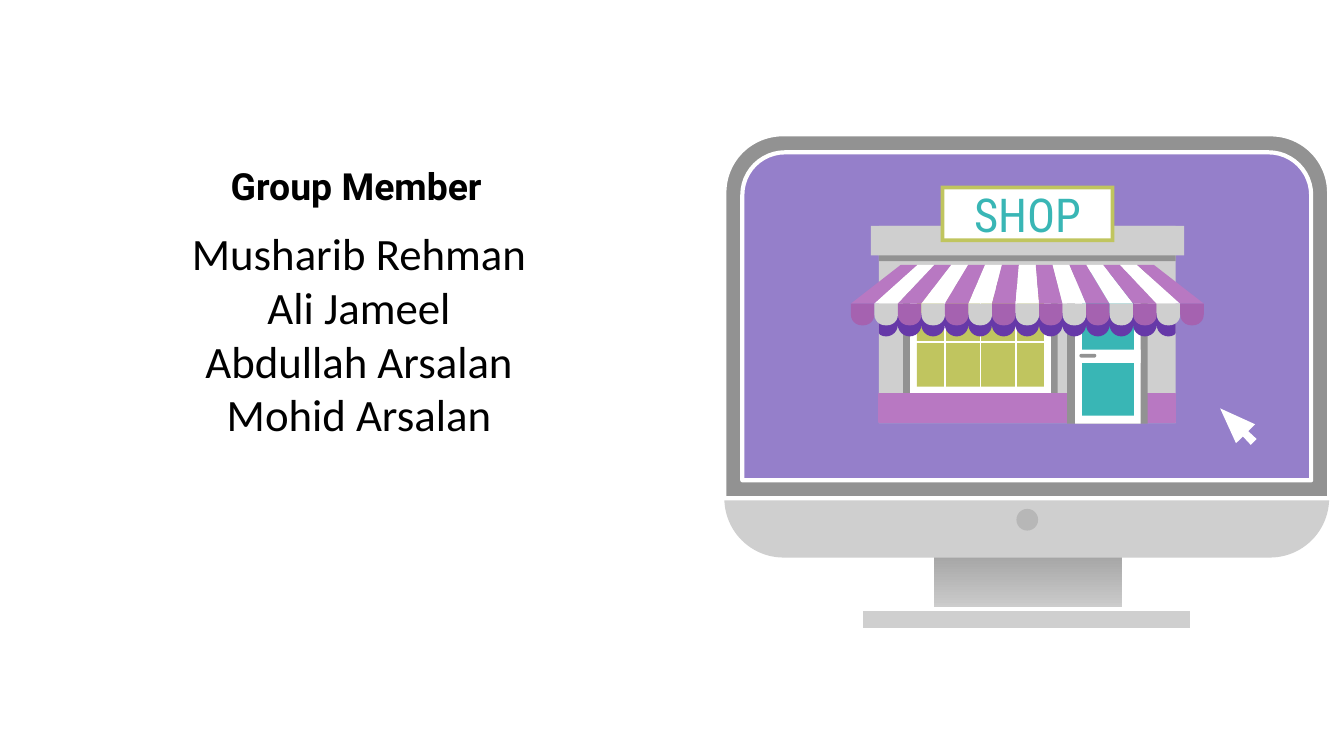
import math

from lxml import etree
from pptx import Presentation
from pptx import util as u
from pptx.dml import color
from pptx.enum import shapes, text
from pptx.oxml import ns

RECTANGLE = shapes.MSO_SHAPE.RECTANGLE
ROUNDED = shapes.MSO_SHAPE.ROUNDED_RECTANGLE
ROUNDED_ENDS = shapes.MSO_SHAPE.ROUND_2_SAME_RECTANGLE
WHITE, LIGHT_GREY, GREY = "FFFFFF", "CFCFCF", "929292"
LILAC, MAUVE, PLUM, PURPLE = "957FCA", "B878C2", "A562B0", "6639A8"
OLIVE, TEAL = "C0C55F", "39B6B5"


def rgb(value):
    return color.RGBColor.from_string(value)


def inset(box, margin):
    left, top, width, height = box
    return left + margin, top + margin, width - 2 * margin, height - 2 * margin


def paint(shape, fill, line=None, weight=0.75):
    shape.shadow.inherit = False
    shape.fill.solid()
    shape.fill.fore_color.rgb = rgb(fill)
    if line:
        shape.line.color.rgb = rgb(line)
        shape.line.width = u.Pt(weight)
    else:
        shape.line.fill.background()
    return shape


def add_block(slide, origin, box, fill, line=None, weight=0.75, kind=RECTANGLE, corners=()):
    left, top, width, height = box
    shape = slide.shapes.add_shape(
        kind, u.Cm(origin[0] + left), u.Cm(origin[1] + top), u.Cm(width), u.Cm(height))
    for index, corner in enumerate(corners):
        shape.adjustments[index] = corner
    return paint(shape, fill, line, weight)


def add_outline(slide, origin, points, fill):
    vertices = [(u.Cm(origin[0] + x), u.Cm(origin[1] + y)) for x, y in points]
    builder = slide.shapes.build_freeform(*vertices[0])
    builder.add_line_segments(vertices[1:], close=True)
    return paint(builder.convert_to_shape(), fill)


def add_bar(slide, origin, start, end):
    connector = slide.shapes.add_connector(
        shapes.MSO_CONNECTOR.STRAIGHT,
        u.Cm(origin[0] + start[0]), u.Cm(origin[1] + start[1]),
        u.Cm(origin[0] + end[0]), u.Cm(origin[1] + end[1]))
    connector.line.color.rgb = rgb(WHITE)
    connector.line.width = u.Pt(0.85)
    etree.SubElement(connector._element.spPr, ns.qn("a:effectLst"))


def add_label(slide, box, words, font, size, fill, bold=False, centred=True, bottom=0.25):
    text_box = slide.shapes.add_textbox(*(u.Cm(length) for length in box))
    frame = text_box.text_frame
    frame.text = words
    frame.word_wrap = True
    frame.vertical_anchor = text.MSO_ANCHOR.MIDDLE
    frame.margin_left = frame.margin_right = frame.margin_top = u.Cm(0.25)
    frame.margin_bottom = u.Cm(bottom)
    paragraph = frame.paragraphs[0]
    paragraph.alignment = text.PP_ALIGN.CENTER if centred else text.PP_ALIGN.LEFT
    for run in paragraph.runs:
        run.font.name = font
        run.font.size = u.Pt(size)
        run.font.bold = bold
        run.font.color.rgb = rgb(fill)


def add_members(slide, left, top):
    names = ["Musharib Rehman", "Ali Jameel", "Abdullah Arsalan", "Mohid Arsalan"]
    add_label(slide, (left, top + 2.06, 14.07, 5.18), "\v".join(names),
              "Calibri", 24, "000000", bottom=2.29)
    add_label(slide, (left + 4.36, top, 5.33, 1.68), "Group Member",
              "Roboto", 20, "000000", bold=True, centred=False)


def add_monitor(slide, left, top, width):
    origin = left, top
    neck = add_block(slide, origin, (3.96, 7.49, 3.55, 1.85), GREY)
    neck.fill.gradient()
    neck.fill.gradient_angle = 90
    for stop, shade in zip(neck.fill.gradient_stops, ("DDDDDD", "919191")):
        stop.color.rgb = rgb(shade)
    add_block(slide, origin, (2.59, 8.97, 6.25, 0.41), LIGHT_GREY, WHITE, 2.25)
    add_block(slide, origin, (0, 0, width, 8), LIGHT_GREY, kind=ROUNDED, corners=[0.14])
    add_block(slide, origin, (5.52, 7.08, 0.41, 0.41), "B7B7B7", kind=shapes.MSO_SHAPE.OVAL)
    bezel = 0, 0, width, 6.88
    for box, fill, corner in [(bezel, GREY, 0.16), (inset(bezel, 0.34), LILAC, 0.13)]:
        add_block(slide, origin, box, fill, WHITE, 2.25, ROUNDED_ENDS, [corner, 0])


def add_window(slide, left, top, width, height):
    origin = left, top
    box = 0, 0, width, height
    for margin, fill in [(0, GREY), (0.13, WHITE), (0.26, OLIVE)]:
        add_block(slide, origin, inset(box, margin), fill)
    add_bar(slide, origin, (0.18, 1.15), (width - 0.18, 1.15))
    for index in range(3):
        x = 0.79 + 0.67 * index
        add_bar(slide, origin, (x, 0.05), (x, height - 0.15))


def add_door(slide, left, top):
    origin = left, top
    add_block(slide, origin, (0, 0, 1.52, 2.95), GREY)
    add_block(slide, origin, (0.15, 0, 1.24, 2.95), WHITE)
    add_block(slide, origin, (0.28, 0.08, 0.98, 2.72), TEAL)
    add_block(slide, origin, (0.15, 1.55, 1.24, 0.25), WHITE)
    add_block(slide, origin, (0.23, 1.63, 0.32, 0.07), GREY, kind=ROUNDED, corners=[0.5])


def add_awning(slide, left, top, width):
    origin = left, top
    columns, depth, eave = 15, 0.73, 0.94
    pitch = width / columns
    roof_pitch = (width - 2 * eave) / columns
    fringe = [(0.53, depth + 0.18)]
    for column in range(1, columns - 1):
        for step in range(13):
            angle = math.pi * step / 12
            x = pitch * (column + 0.5 - math.cos(angle) / 2)
            y = depth + 0.4 + 0.22 * math.sin(angle)
            fringe.append((min(max(x, 0.53), width - 0.53), y))
    fringe.append((width - 0.53, depth + 0.18))
    add_outline(slide, origin, fringe, PURPLE)
    for column in range(columns):
        roof, edge = eave + column * roof_pitch, column * pitch
        stripe = [(roof, 0), (edge, depth), (edge + pitch, depth), (roof + roof_pitch, 0)]
        stripe_fill, flap_fill = (WHITE, LIGHT_GREY) if column % 2 else (MAUVE, PLUM)
        add_outline(slide, origin, stripe, stripe_fill)
        add_block(slide, origin, (edge, depth, pitch, 0.41), flap_fill,
                  kind=ROUNDED_ENDS, corners=[0, 0.5])


def add_shop(slide, left, top, width):
    origin = left, top
    add_block(slide, origin, (0.53, 0.76, 5.61, 3.73), LIGHT_GREY)
    add_window(slide, left + 0.99, top + 1.8, 2.92, 2.26)
    add_block(slide, origin, (0.53, 3.94, 5.61, 0.53), MAUVE, MAUVE)
    add_door(slide, left + 4.09, top + 1.55)
    add_block(slide, origin, (0.53, 0.97, 5.61, 0.46), GREY)
    add_block(slide, origin, (0.38, 0.76, 5.92, 0.56), LIGHT_GREY)
    sign = 1.7, 0, 3.28, 1.07
    add_block(slide, origin, sign, OLIVE)
    add_block(slide, origin, inset(sign, 0.07), WHITE)
    add_awning(slide, left, top + 1.5, width)
    add_label(slide, (left + 1.7, top + 0.03, 3.28, 0.99), "SHOP", "Roboto Condensed", 25, TEAL)


def add_cursor(slide, left, top):
    points = [(0, 0), (0.3, 0.66), (0.43, 0.53), (0.58, 0.69),
              (0.69, 0.58), (0.53, 0.43), (0.66, 0.3)]
    add_outline(slide, (left, top), points, WHITE)


def main():
    presentation = Presentation()
    presentation.slide_width = u.Cm(25.4)
    presentation.slide_height = u.Cm(14.29)
    slide = presentation.slides.add_slide(presentation.slide_layouts[6])
    add_members(slide, -0.25, 2.67)
    add_monitor(slide, 13.69, 2.54, 11.43)
    add_shop(slide, 16.08, 3.51, 6.67)
    add_cursor(slide, 23.06, 7.72)
    presentation.save("out.pptx")


if __name__ == "__main__":
    main()
